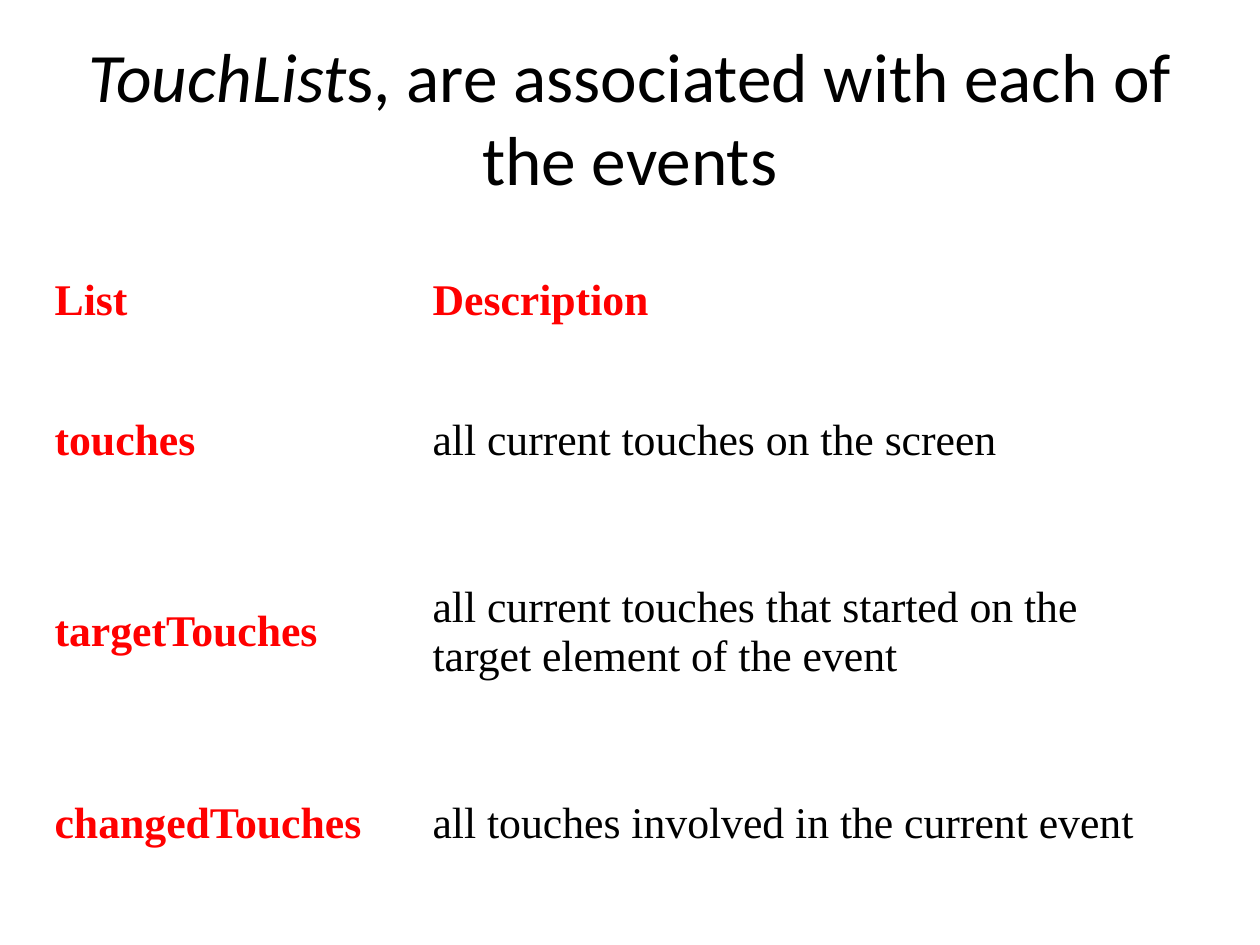
from pptx import Presentation
from pptx.dml.color import RGBColor as RGB
from pptx.enum.text import MSO_ANCHOR as Anchor, MSO_AUTO_SIZE as Fit, PP_ALIGN as Align
from pptx.util import Pt

COLORS = {"ink": "000000", "key": "FF0000", "paper": "FFFFFF"}


def write(para, text, font="Times New Roman", size=25, color="ink", bold=False, italic=False):
    run = para.add_run()
    run.text = text
    face = run.font
    face.name, face.size = font, Pt(size)
    face.bold, face.italic = bold, italic
    face.color.rgb = RGB.from_string(COLORS[color])


deck = Presentation()
deck.slide_width, deck.slide_height = Pt(720), Pt(540)
slide = deck.slides.add_slide(deck.slide_layouts[5])

# Title
title = slide.shapes.title
title.left, title.top, title.width, title.height = Pt(36), Pt(21.6), Pt(648), Pt(90)
frame = title.text_frame
frame.word_wrap = True
frame.auto_size = Fit.NONE
frame.vertical_anchor = Anchor.MIDDLE
head = frame.paragraphs[0]
head.alignment = Align.CENTER
write(head, "TouchList", font="Calibri", size=39.6, italic=True)
write(head, "s, are associated with each of the events", font="Calibri", size=39.6)

# Table of touch lists
rows = [
    ("List", "Description"),
    ("touches", "all current touches on the screen"),
    ("targetTouches", "all current touches that started on the target element of the event"),
    ("changedTouches", "all touches involved in the current event"),
]
widths = [216, 432]
heights = [80, 80, 139, 80]
table = slide.shapes.add_table(
    len(rows), len(widths), Pt(24), Pt(131.8), Pt(sum(widths)), Pt(sum(heights))
).table
for col, width in zip(table.columns, widths):
    col.width = Pt(width)
for row, height in zip(table.rows, heights):
    row.height = Pt(height)
table.horz_banding = False

for r, row in enumerate(rows):
    for c, text in enumerate(row):
        cell = table.cell(r, c)
        cell.fill.solid()
        cell.fill.fore_color.rgb = RGB.from_string(COLORS["paper"])
        cell.vertical_anchor = Anchor.MIDDLE
        key = r == 0 or c == 0
        write(cell.text_frame.paragraphs[0], text, color="key" if key else "ink", bold=key)

deck.save("out.pptx")
